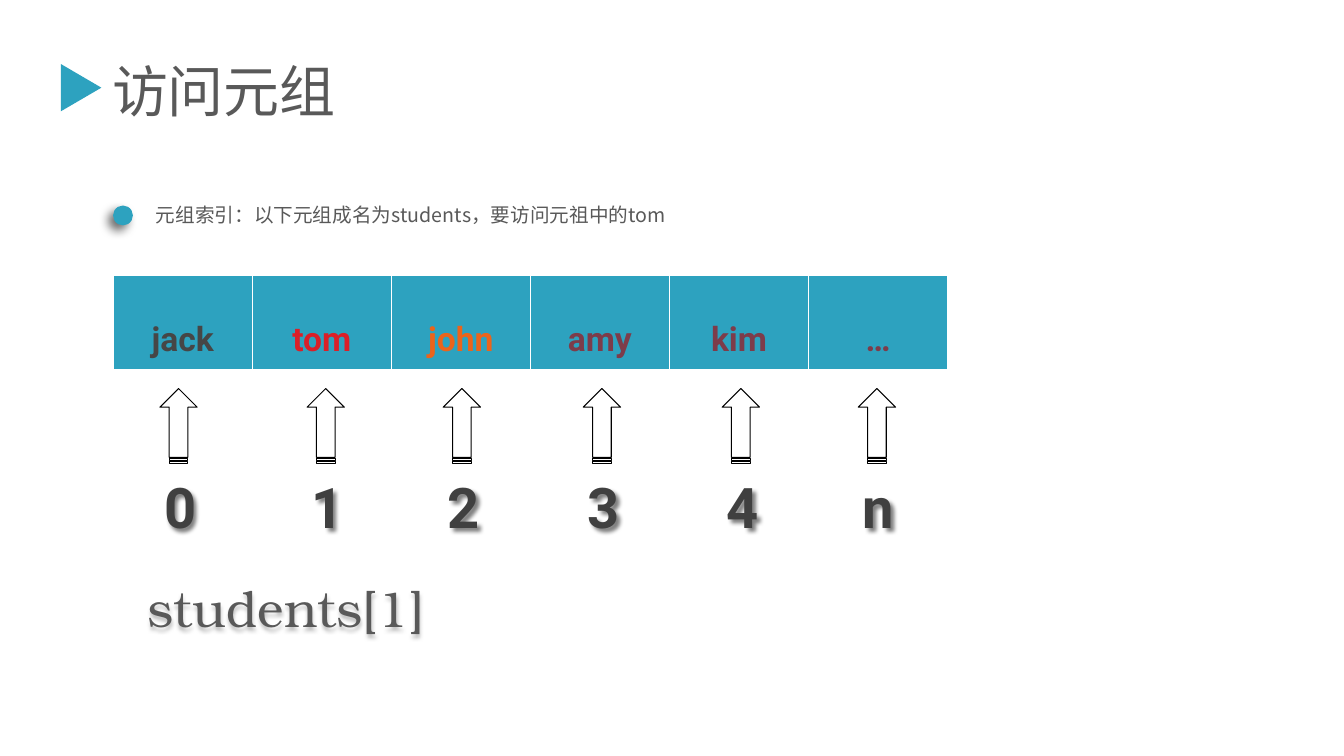
from dataclasses import dataclass

from lxml.etree import SubElement
from pptx import Presentation
from pptx.dml.color import RGBColor
from pptx.enum.shapes import MSO_SHAPE as Preset
from pptx.enum.text import MSO_ANCHOR as Anchor
from pptx.enum.text import MSO_AUTO_SIZE as AutoSize
from pptx.enum.text import PP_ALIGN as Align
from pptx.oxml.ns import qn
from pptx.shapes.autoshape import Shape
from pptx.slide import Slide
from pptx.table import _Cell as Cell
from pptx.text.text import _Paragraph as Paragraph
from pptx.util import Cm, Pt

TEAL = RGBColor(0x2D, 0xA2, 0xBF)
GRAY = RGBColor(0x59, 0x59, 0x59)
CHARCOAL = RGBColor(0x40, 0x40, 0x40)
SLATE = RGBColor(0x46, 0x46, 0x46)
RED = RGBColor(0xDA, 0x1F, 0x28)
ORANGE = RGBColor(0xEB, 0x64, 0x1B)
PLUM = RGBColor(0x7D, 0x3C, 0x4A)
WHITE = RGBColor(0xFF, 0xFF, 0xFF)
BLACK = RGBColor(0, 0, 0)

CHINESE_FONT = "Noto Sans CJK SC"
LATIN_FONT = "Roboto"
CODE_FONT = "TeX Gyre Bonum"

ARROW_LENGTH, ARROW_WIDTH, ARROW_MIDDLE = 1.88, 0.94, 10.73
INDEX_WIDTH = 1.55
INDEX_SHIFT = 0.11


@dataclass(frozen=True)
class Member:
    name: str
    color: RGBColor
    index: str
    center: float  # arrow centre, in cm


@dataclass(frozen=True)
class Shadow:
    opacity: int
    blur: float
    distance: float
    angle: int


MEMBERS = [
    Member("jack", SLATE, "0", 4.5),
    Member("tom", RED, "1", 8.21),
    Member("john", ORANGE, "2", 11.64),
    Member("amy", PLUM, "3", 15.17),
    Member("kim", PLUM, "4", 18.67),
    Member("…", PLUM, "n", 22.1),
]
BULLET_SHADOW = Shadow(57, 7, 5, 135)
INDEX_SHADOW = Shadow(50, 3, 3, 45)
CODE_SHADOW = Shadow(25, 3, 2, 90)


def style(paragraph: Paragraph, font_name: str, size: int, color: RGBColor,
          bold: bool = False) -> None:
    """Format a paragraph, using the font for Chinese text as well."""
    font = paragraph.font
    font.name, font.size, font.bold = font_name, Pt(size), bold
    font.color.rgb = color
    properties = paragraph._p.pPr.find(qn("a:defRPr"))
    east_asian = SubElement(properties, qn("a:ea"), typeface=font_name)
    properties.find(qn("a:latin")).addnext(east_asian)


def add_shadow(shape: Shape, shadow: Shadow) -> None:
    shape.shadow.inherit = False
    effects = shape._element.spPr.find(qn("a:effectLst"))
    outer = SubElement(effects, qn("a:outerShdw"), blurRad=str(Pt(shadow.blur)),
                       dist=str(Pt(shadow.distance)), dir=str(shadow.angle * 60000),
                       algn="ctr", rotWithShape="0")
    color = SubElement(outer, qn("a:srgbClr"), val=str(BLACK))
    SubElement(color, qn("a:alpha"), val=str(shadow.opacity * 1000))


def add_text(slide: Slide, text: str, left: float, top: float, width: float,
             height: float) -> Shape:
    box = slide.shapes.add_textbox(Cm(left), Cm(top), Cm(width), Cm(height))
    box.text_frame.word_wrap = True
    box.text_frame.text = text
    return box


def add_marker(slide: Slide, preset: Preset, left: float, top: float,
               width: float, height: float) -> Shape:
    """Add a teal shape without an outline."""
    marker = slide.shapes.add_shape(preset, Cm(left), Cm(top), Cm(width), Cm(height))
    marker.shadow.inherit = False
    marker.fill.solid()
    marker.fill.fore_color.rgb = TEAL
    marker.line.fill.background()
    return marker


def add_title(slide: Slide) -> None:
    title = slide.shapes.title
    title.left, title.top, title.width, title.height = Cm(2.57), Cm(1.3), Cm(10.85), Cm(2.74)
    frame = title.text_frame
    frame.text = "访问元组"
    frame.auto_size = AutoSize.NONE
    frame.vertical_anchor = Anchor.TOP
    paragraph = frame.paragraphs[0]
    paragraph.alignment = Align.LEFT
    style(paragraph, CHINESE_FONT, 40, GRAY)
    add_marker(slide, Preset.ISOSCELES_TRIANGLE, 1.45, 1.7, 1.19, 1.02).rotation = 90


def add_explanation(slide: Slide) -> None:
    bullet = add_marker(slide, Preset.OVAL, 2.85, 5.18, 0.5, 0.5)
    add_shadow(bullet, BULLET_SHADOW)
    box = add_text(slide, "元组索引：以下元组成名为students，要访问元祖中的tom",
                   3.68, 4.98, 14.96, 0.86)
    style(box.text_frame.paragraphs[0], CHINESE_FONT, 14, GRAY)


def add_borders(cell: Cell) -> None:
    properties = cell._tc.get_or_add_tcPr()
    for position, (side, width) in enumerate([("L", 1), ("R", 1), ("T", 1), ("B", 3)]):
        border = SubElement(properties, qn(f"a:ln{side}"), w=str(Pt(width)))
        fill = SubElement(border, qn("a:solidFill"))
        SubElement(fill, qn("a:srgbClr"), val=str(WHITE))
        properties.insert(position, border)


def add_member_table(slide: Slide) -> None:
    table = slide.shapes.add_table(1, len(MEMBERS), Cm(2.85), Cm(6.94),
                                   Cm(21.03), Cm(2.41)).table
    table.first_row = table.horz_banding = False
    for cell, member in zip(table.rows[0].cells, MEMBERS):
        cell.fill.solid()
        cell.fill.fore_color.rgb = TEAL
        add_borders(cell)
        cell.text = member.name
        paragraph = cell.text_frame.paragraphs[0]
        paragraph.alignment = Align.CENTER
        paragraph.line_spacing = 2.0
        style(paragraph, LATIN_FONT, 24, member.color, bold=True)


def add_index(slide: Slide, member: Member) -> None:
    """Add the arrow below a member and the index it stands for."""
    left = member.center - INDEX_WIDTH / 2 + INDEX_SHIFT + 0.05
    box = add_text(slide, member.index, left, 11.79, INDEX_WIDTH, 1.96)
    style(box.text_frame.paragraphs[0], LATIN_FONT, 40, CHARCOAL, bold=True)
    add_shadow(box, INDEX_SHADOW)
    arrow = slide.shapes.add_shape(
        Preset.STRIPED_RIGHT_ARROW, Cm(member.center - ARROW_LENGTH / 2),
        Cm(ARROW_MIDDLE - ARROW_WIDTH / 2), Cm(ARROW_LENGTH), Cm(ARROW_WIDTH))
    arrow.rotation = 270
    arrow.shadow.inherit = False
    arrow.fill.background()
    arrow.line.color.rgb = BLACK
    arrow.line.width = Pt(0.75)


def main() -> None:
    presentation = Presentation()
    presentation.slide_width, presentation.slide_height = Cm(33.87), Cm(19.05)
    slide = presentation.slides.add_slide(presentation.slide_layouts[5])
    add_title(slide)
    add_explanation(slide)
    add_member_table(slide)
    for member in MEMBERS:
        add_index(slide, member)
    code = add_text(slide, "students[1]", 3.48, 14.43, 15.37, 1.8)
    style(code.text_frame.paragraphs[0], CODE_FONT, 36, GRAY)
    add_shadow(code, CODE_SHADOW)
    presentation.save("out.pptx")


if __name__ == "__main__":
    main()
